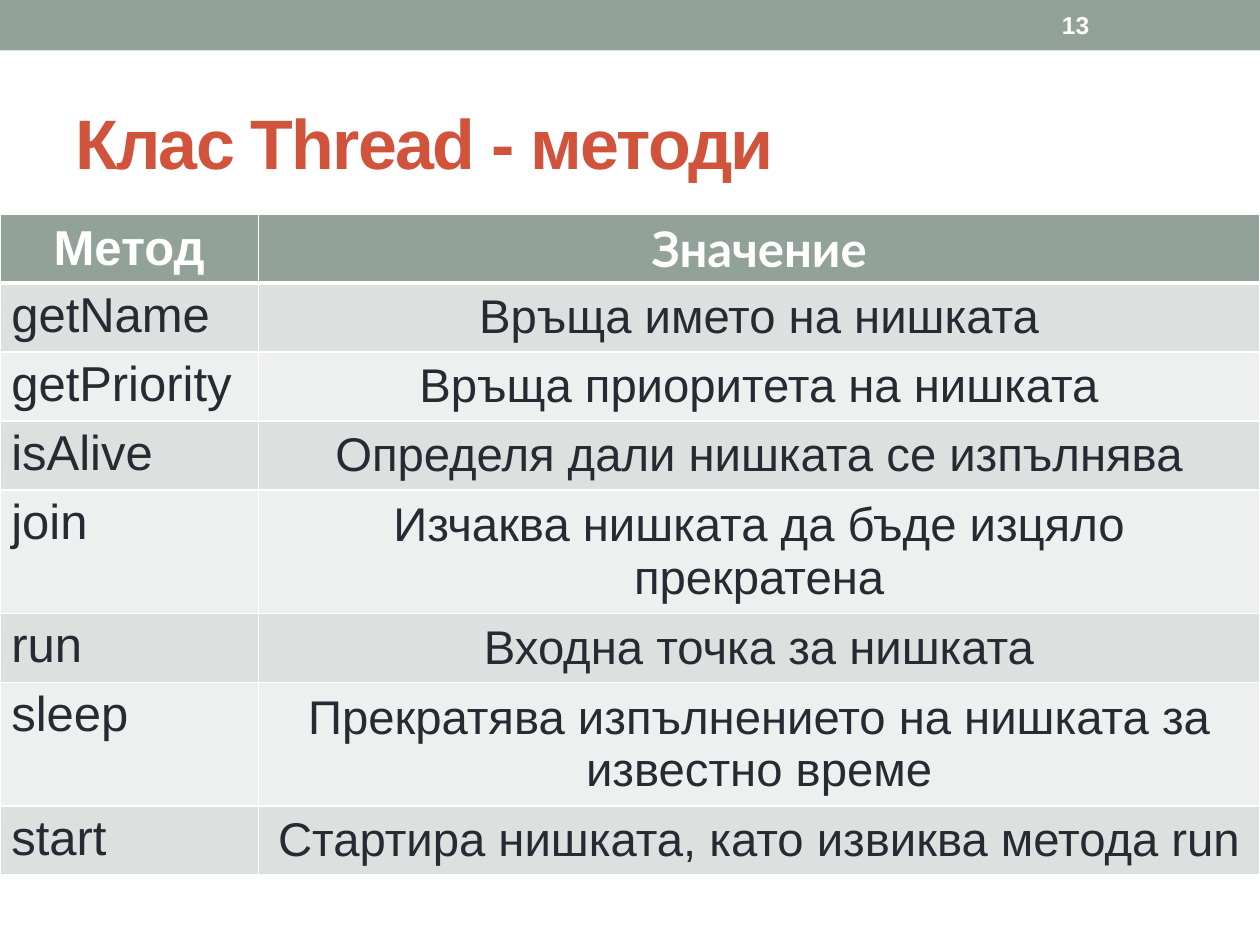
from pptx import Presentation
from pptx.dml.color import RGBColor
from pptx.enum.shapes import MSO_SHAPE
from pptx.enum.text import MSO_ANCHOR, PP_ALIGN
from pptx.oxml import parse_xml
from pptx.oxml.ns import nsdecls
from pptx.util import Inches, Pt

COLORS = {"sage": "93A299", "title": "D2533C", "text": "292934",
          "white": "FFFFFF", "band_dark": "DCE0DE", "band_light": "EEF0EF"}
ROWS = [
    ("Метод", "Значение"),
    ("getName", "Връща името на нишката"),
    ("getPriority", "Връща приоритета на нишката"),
    ("isAlive", "Определя дали нишката се изпълнява"),
    ("join", "Изчаква нишката да бъде изцяло прекратена"),
    ("run", "Входна точка за нишката"),
    ("sleep", "Прекратява изпълнението на нишката за известно време"),
    ("start", "Стартира нишката, като извиква метода run"),
]


def write(tf, text, size, color, bold=False, name="Arial"):
    p = tf.paragraphs[0]
    p.text = text
    p.font.size, p.font.bold, p.font.name = Pt(size), bold, name
    p.font.color.rgb = RGBColor.from_string(COLORS[color])
    return p


def add_text(s, box, text, size, color):
    tf = s.shapes.add_textbox(*map(Inches, box)).text_frame
    tf.word_wrap = True
    tf.vertical_anchor = MSO_ANCHOR.MIDDLE
    return write(tf, text, size, color, bold=True)


prs = Presentation()
prs.slide_width, prs.slide_height = Inches(10), Inches(7.5)
s = prs.slides.add_slide(prs.slide_layouts[6])

# Top bar
bar = s.shapes.add_shape(MSO_SHAPE.RECTANGLE, 0, 0, prs.slide_width, Inches(0.4))
bar.shadow.inherit = False
bar.fill.solid()
bar.fill.fore_color.rgb = RGBColor.from_string(COLORS["sage"])
bar.line.fill.background()

# Title with tightened letter spacing, and page number
p = add_text(s, (0.5, 0.58, 9, 1.08), "Клас Thread - методи", 40, "title")
p.runs[0].font._element.set("spc", "-100")
add_text(s, (8.33, 0.02, 1.17, 0.36), "13", 14, "white")

# Methods table; rows grow to fit their text
table = s.shapes.add_table(len(ROWS), 2, 0, Inches(1.7), Inches(10),
                           Inches(0.41 * len(ROWS))).table
for column, width in zip(table.columns, (2.05, 7.95)):
    column.width = Inches(width)

for i, row in enumerate(ROWS):
    header = i == 0
    fill = "sage" if header else ("band_light", "band_dark")[i % 2]
    for j, text in enumerate(row):
        cell = table.cell(i, j)
        cell.margin_left = cell.margin_right = Inches(0.09)
        cell.margin_top = cell.margin_bottom = Inches(0.04)
        p = write(cell.text_frame, text, 28 if header or j == 0 else 27,
                  "white" if header else "text", header,
                  "Lato" if header and j == 1 else "Arial")
        if header or j == 1:
            p.alignment = PP_ALIGN.CENTER
            cell.vertical_anchor = MSO_ANCHOR.MIDDLE

        # Borders go before the fill in the cell properties
        tcPr = cell._tc.get_or_add_tcPr()
        for side in "LRTB":
            heavy = (header and side == "B") or (i == 1 and side == "T")
            tcPr.append(parse_xml(
                f'<a:ln{side} {nsdecls("a")} w="{Pt(3 if heavy else 1)}"><a:solidFill>'
                f'<a:srgbClr val="{COLORS["white"]}"/></a:solidFill></a:ln{side}>'))
        cell.fill.solid()
        cell.fill.fore_color.rgb = RGBColor.from_string(COLORS[fill])

prs.save("out.pptx")
